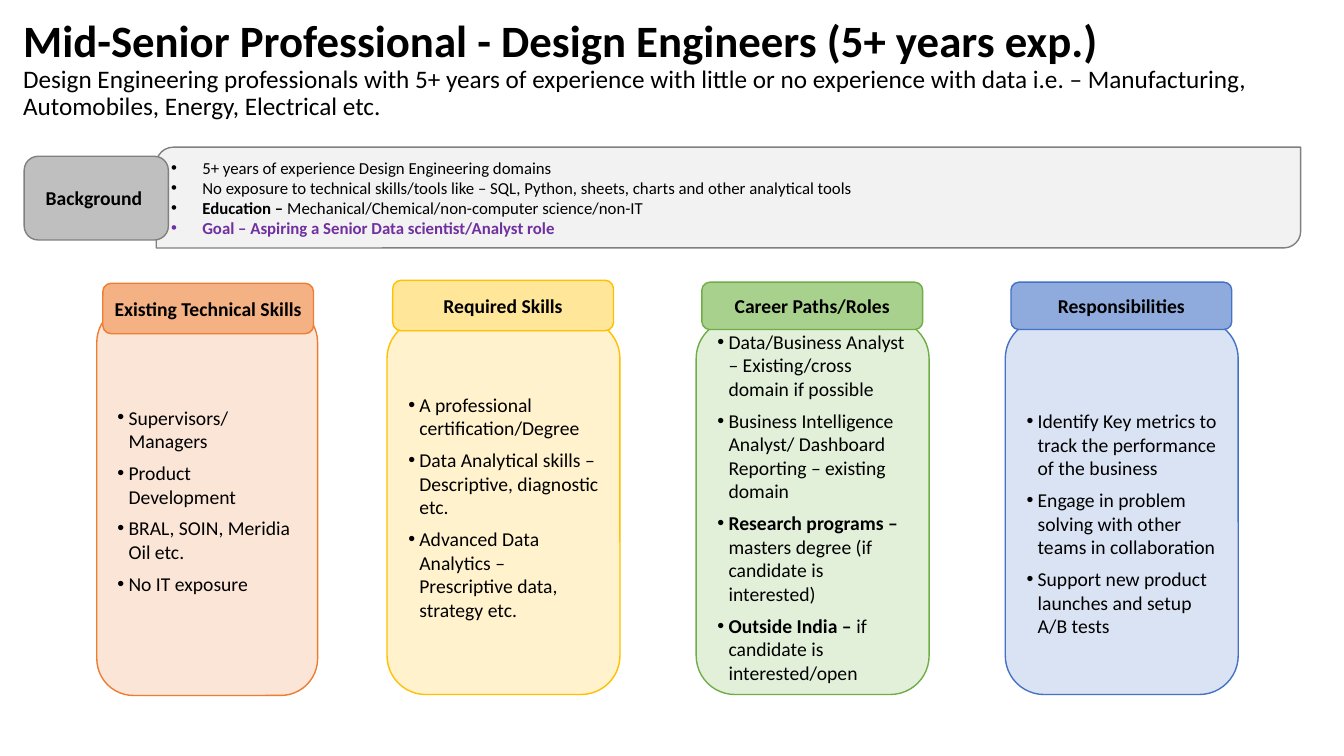
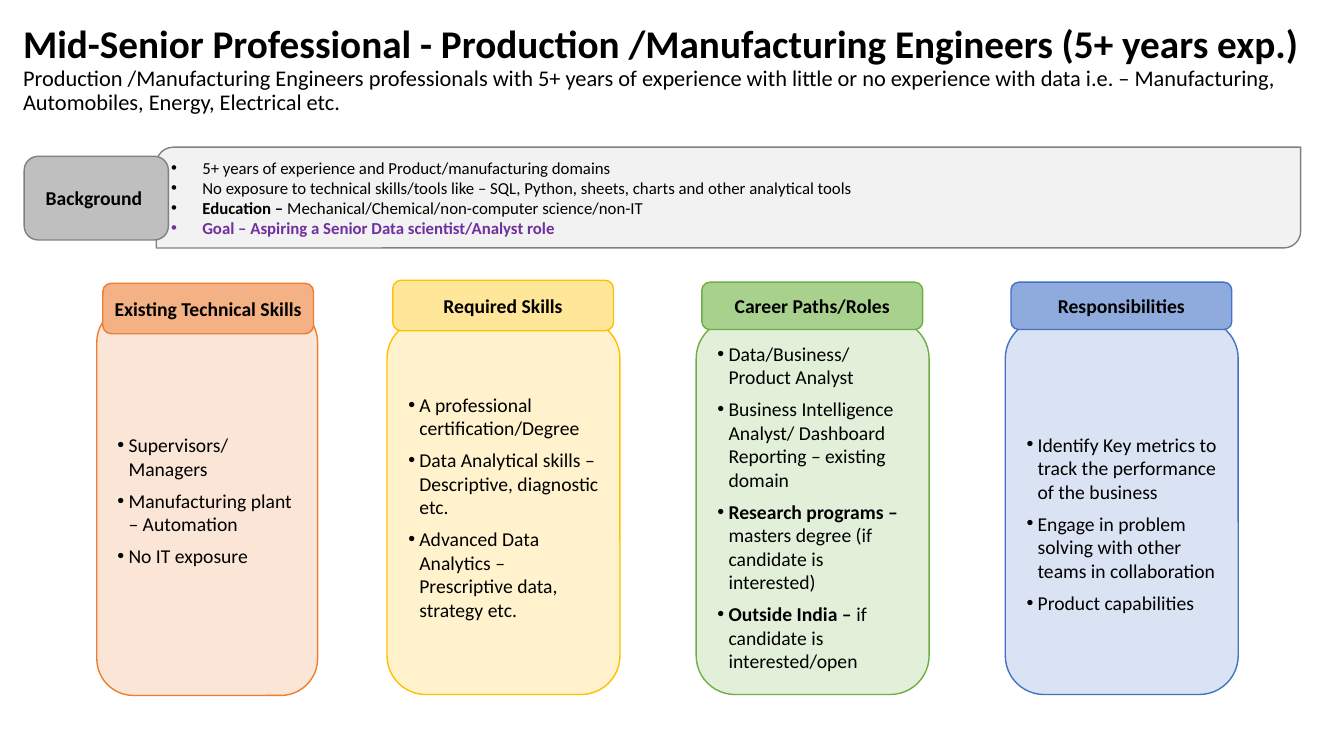
from dataclasses import dataclass

from lxml.etree import SubElement
from pptx import Presentation
from pptx.dml.color import RGBColor
from pptx.enum.shapes import MSO_SHAPE as Preset
from pptx.enum.text import MSO_ANCHOR as Anchor, PP_ALIGN as Align
from pptx.oxml.ns import qn
from pptx.util import Emu, Inches, Pt


@dataclass(frozen=True)
class Theme:
    font: str = "Calibri"
    bullet_font: str = "Arial"
    text: str = "000000"
    accent: str = "7030A0"
    panel: str = "F2F2F2"
    badge: str = "BFBFBF"
    grey_line: str = "808080"
    orange: tuple = ("F4B183", "FBE5D6", "ED7D31")
    yellow: tuple = ("FFE699", "FFF2CC", "FFC000")
    green: tuple = ("A9D18E", "E2F0D9", "70AD47")
    blue: tuple = ("8FAADC", "DAE3F3", "4472C4")
    body_size: int = 14
    panel_size: int = 12
    line_width: int = 1
    gap_after: int = 6
    panel_indent: float = 0.31
    card_indent: float = 0.11
    blank_line: float = 0.32


def write(frame, text, *, theme, size, lead="", bold=False, color=None,
          align=Align.LEFT, indent=0, after=0, spacing=None):
    first = frame.paragraphs[0]
    para = frame.add_paragraph() if first.runs else first
    para.alignment = align
    para.space_after = Pt(after)
    if spacing:
        para.line_spacing = spacing
    if indent:
        props = para._p.get_or_add_pPr()
        props.set("marL", str(Inches(indent)))
        props.set("indent", str(-Inches(indent)))
        SubElement(props, qn("a:buFont"), typeface=theme.bullet_font)
        SubElement(props, qn("a:buChar"), char="•")
    for words, heavy in ((lead, True), (text, bold)):
        if words:
            span = para.add_run()
            span.text = words
            span.font.name = theme.font
            span.font.size = Pt(size)
            span.font.bold = heavy
            span.font.color.rgb = RGBColor.from_string(color or theme.text)


class Board:
    def __init__(self, deck, theme):
        self.theme = theme
        self.width, self.height = deck.slide_width, deck.slide_height
        self.slide = deck.slides.add_slide(deck.slide_layouts[6])

    def place(self, left, top, width, height):
        across, down = self.width / 100, self.height / 100
        return [Emu(round(length)) for length in
                (left * across, top * down, width * across, height * down)]

    def title(self, heading, summary, sizes):
        box = self.slide.shapes.add_textbox(*self.place(0.98, 1.6, 97.97, 15.33))
        frame = box.text_frame
        frame.word_wrap = True
        frame.vertical_anchor = Anchor.MIDDLE
        for text, size, bold in zip((heading, summary), sizes, (True, False)):
            write(frame, text, theme=self.theme, size=size, bold=bold, spacing=0.9)

    def block(self, area, fill, line, preset=Preset.ROUNDED_RECTANGLE):
        box = self.slide.shapes.add_shape(preset, *self.place(*area))
        box.shadow.inherit = False
        box.fill.solid()
        box.fill.fore_color.rgb = RGBColor.from_string(fill)
        box.line.color.rgb = RGBColor.from_string(line)
        box.line.width = Pt(self.theme.line_width)
        frame = box.text_frame
        frame.word_wrap = True
        frame.vertical_anchor = Anchor.MIDDLE
        return frame

    def label(self, area, text, fill, line):
        frame = self.block(area, fill, line)
        frame.margin_left = frame.margin_right = 0
        frame.margin_top = frame.margin_bottom = 0
        write(frame, text, theme=self.theme, size=self.theme.body_size,
              bold=True, align=Align.CENTER)

    def background(self, experience):
        theme = self.theme
        frame = self.block((11.63, 19.47, 85.15, 13.33), theme.panel,
                           theme.grey_line, Preset.ROUND_2_DIAG_RECTANGLE)
        points = (
            (experience, {}),
            ("No exposure to technical skills/tools like – SQL, Python, "
             "sheets, charts and other analytical tools", {}),
            ("Mechanical/Chemical/non-computer science/non-IT",
             {"lead": "Education – "}),
            ("Goal – Aspiring a Senior Data scientist/Analyst role",
             {"bold": True, "color": theme.accent}),
        )
        for text, style in points:
            write(frame, text, theme=theme, size=theme.panel_size,
                  indent=theme.panel_indent, **style)
        self.label((1.8, 20.67, 10.73, 11.07), "Background ",
                   theme.badge, theme.grey_line)

    def card(self, column, points):
        theme = self.theme
        header, fill, line = column.colors
        frame = self.block(column.body, fill, line)
        if column.lowered:
            frame.margin_top += Inches(theme.blank_line)
        for point in points:
            lead, text = point if isinstance(point, tuple) else ("", point)
            write(frame, text, lead=lead, theme=theme, size=theme.body_size,
                  indent=theme.card_indent, after=theme.gap_after)
        self.label(column.header, column.name, header, line)


@dataclass(frozen=True)
class Column:
    name: str
    colors: tuple
    body: tuple
    header: tuple
    lowered: bool = False


def wide_column(index, name, colors, top=37.33, height=6.27, lowered=False):
    left = 28.8 + 23 * index
    return Column(name, colors, (left, 42.27, 17.33, 49.6),
                  (left + 0.42, top, 16.43, height), lowered)


THEME = Theme()
COLUMNS = (
    Column("Existing Technical Skills", THEME.orange,
           (7.2, 40.4, 16.43, 51.6), (7.65, 37.47, 15.68, 6.67)),
    wide_column(0, "Required Skills", THEME.yellow, top=37.07, height=6.67),
    wide_column(1, "Career Paths/Roles", THEME.green),
    wide_column(2, "Responsibilities", THEME.blue, lowered=True),
)
REQUIRED = (
    "A professional certification/Degree",
    "Data Analytical skills – Descriptive, diagnostic etc.",
    "Advanced Data Analytics – Prescriptive data, strategy etc.",
)
SHARED_CAREERS = (
    "Business Intelligence Analyst/ Dashboard Reporting – existing domain",
    ("Research programs – ", "masters degree (if candidate is interested)"),
    ("Outside India – ", "if candidate is interested/open"),
)
SHARED_DUTIES = (
    "Identify Key metrics to track the performance of the business",
    "Engage in problem solving with other teams in collaboration",
)
PROFILES = (
    {
        "field": "Design Engineers",
        "people": "Design Engineering",
        "sizes": (32, 18),
        "experience": "5+ years of experience Design Engineering domains",
        "skills": ("Product Development", "BRAL, SOIN, Meridia Oil etc."),
        "career": "Data/Business Analyst – Existing/cross domain if possible",
        "duty": "Support new product launches and setup A/B tests",
    },
    {
        "field": "Production /Manufacturing Engineers",
        "people": "Production /Manufacturing Engineers",
        "sizes": (28, 16),
        "experience": "5+ years of experience and Product/manufacturing domains",
        "skills": ("Manufacturing plant – Automation",),
        "career": "Data/Business/ Product Analyst",
        "duty": "Product capabilities",
    },
)


def main():
    deck = Presentation()
    deck.slide_width, deck.slide_height = Inches(13.33), Inches(7.5)
    for profile in PROFILES:
        board = Board(deck, THEME)
        board.title(
            f"Mid-Senior Professional - {profile['field']} (5+ years exp.)",
            f"{profile['people']} professionals with 5+ years of experience with "
            "little or no experience with data i.e. – Manufacturing, "
            "Automobiles, Energy, Electrical etc.",
            profile["sizes"])
        board.background(profile["experience"])
        contents = (
            ("Supervisors/ Managers", *profile["skills"], "No IT exposure"),
            REQUIRED,
            (profile["career"], *SHARED_CAREERS),
            (*SHARED_DUTIES, profile["duty"]),
        )
        for column, points in zip(COLUMNS, contents):
            board.card(column, points)
    deck.save("out.pptx")


if __name__ == "__main__":
    main()
